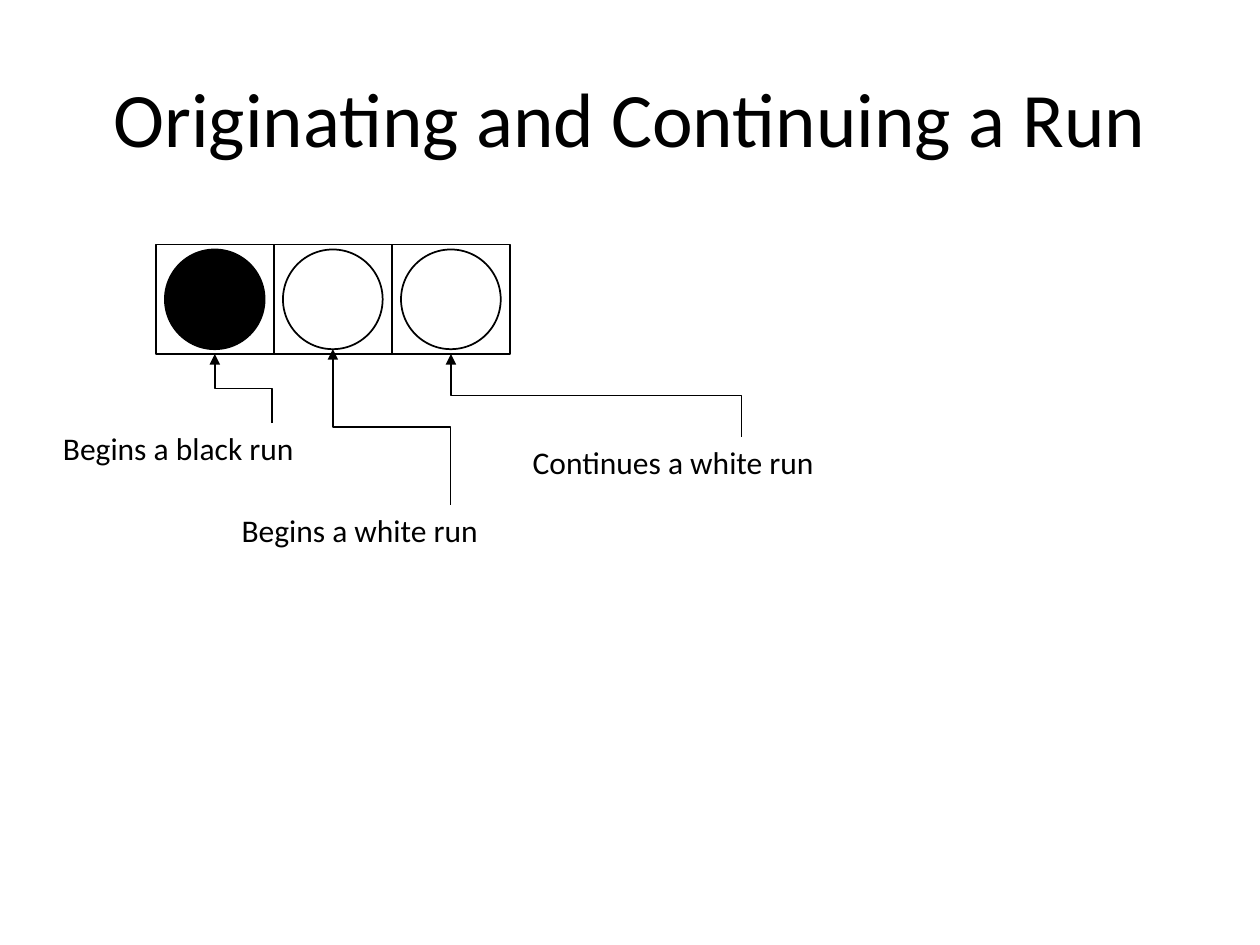
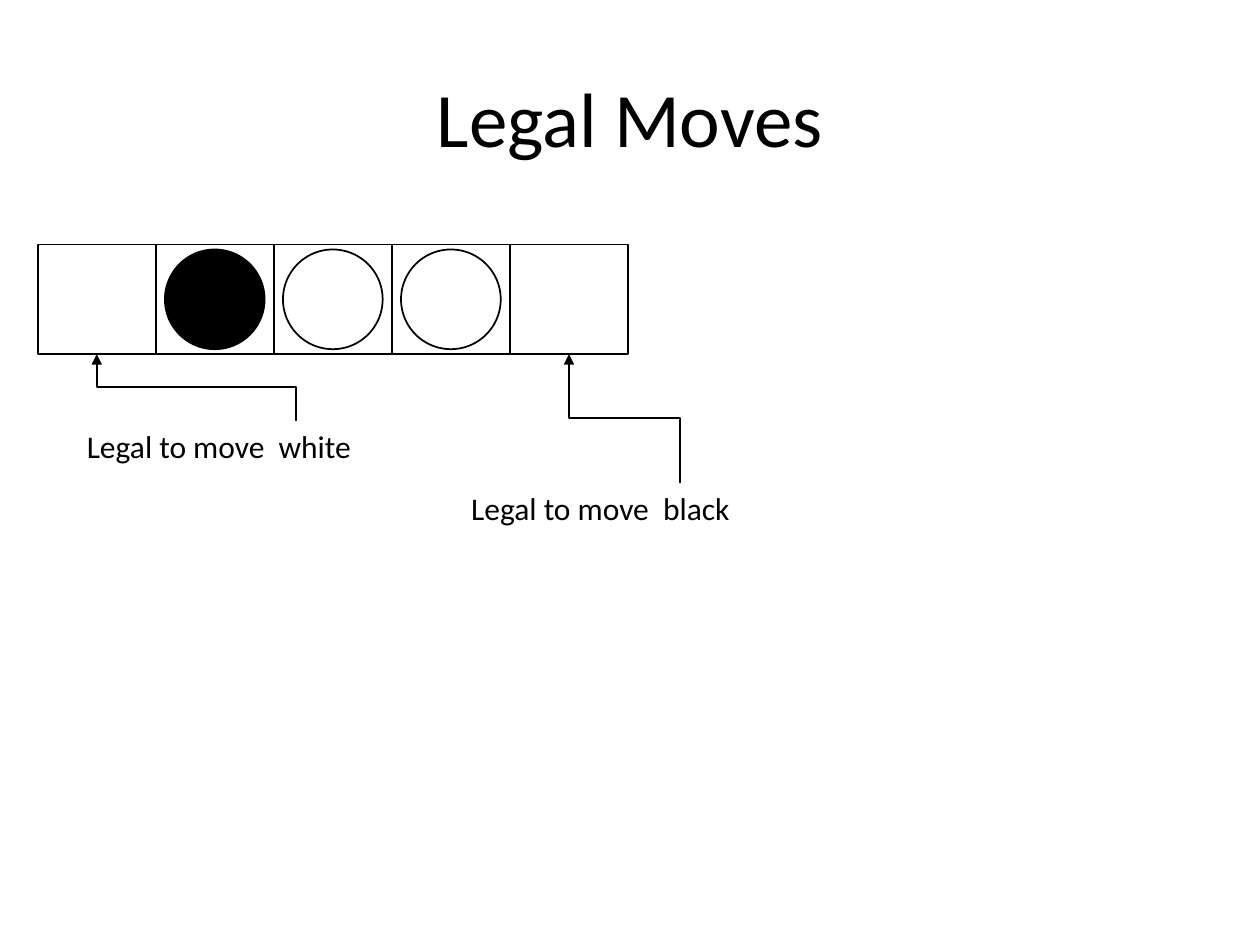
from lxml import etree
from pptx import Presentation
from pptx.dml.color import RGBColor
from pptx.enum.shapes import MSO_CONNECTOR, MSO_SHAPE
from pptx.enum.text import MSO_ANCHOR, MSO_AUTO_SIZE, PP_ALIGN
from pptx.oxml.ns import qn
from pptx.util import Cm, Pt

RECTANGLE, OVAL = MSO_SHAPE.RECTANGLE, MSO_SHAPE.OVAL
ELBOW = MSO_CONNECTOR.ELBOW
CENTER, MIDDLE = PP_ALIGN.CENTER, MSO_ANCHOR.MIDDLE
GROW = MSO_AUTO_SIZE.SHAPE_TO_FIT_TEXT

FONT = "Calibri"
BLACK, WHITE = "000000", "FFFFFF"

# Content: discs by board column; labels as (text, left, top, column, points at disc)
DISCS = {1: BLACK, 2: WHITE, 3: WHITE}
SLIDES = [
    {
        "title": "Originating and Continuing a Run",
        "columns": [1, 2, 3],
        "labels": [
            ("Begins a white run", 4.62, 10.18, 2, True),
            ("Begins a black run", 1.02, 8.53, 1, False),
            ("Continues a white run", 10.49, 8.81, 3, False),
        ],
    },
    {
        "title": "Legal Moves",
        "columns": [0, 1, 2, 3, 4],
        "labels": [
            ("Legal to move  black", 9.25, 9.73, 4, False),
            ("Legal to move  white", 1.5, 8.48, 0, False),
        ],
    },
]

# Board and label measures in centimetres
BOARD_LEFT, BOARD_TOP = 0.76, 4.93
SQUARE_WIDTH, SQUARE_HEIGHT = 2.38, 2.21
DISC_SIZE = 2.01
LABEL_WIDTH, LABEL_HEIGHT = 8.92, 1.02


def color(value):
    return RGBColor.from_string(value)


def format_text(frame, size):
    for para in frame.paragraphs:
        for span in para.runs:
            span.font.name = FONT
            span.font.size = Pt(size)
            span.font.color.rgb = color(BLACK)


def column_center(column):
    return BOARD_LEFT + (column + 0.5) * SQUARE_WIDTH


def add_title(page, text):
    title = page.shapes.title
    title.left, title.top = Cm(1.27), Cm(0.76)
    title.width, title.height = Cm(22.86), Cm(3.18)
    title.text_frame.text = text
    title.text_frame.vertical_anchor = MIDDLE
    title.text_frame.paragraphs[0].alignment = CENTER
    format_text(title.text_frame, 44)


def add_outlined(page, kind, column, width, height, fill=None):
    """Add a shape in the middle of a board square."""
    left = column_center(column) - width / 2
    top = BOARD_TOP + (SQUARE_HEIGHT - height) / 2
    shape = page.shapes.add_shape(kind, Cm(left), Cm(top), Cm(width), Cm(height))
    shape.shadow.inherit = False
    shape.line.color.rgb = color(BLACK)
    shape.line.width = Pt(1)
    if fill:
        shape.fill.solid()
        shape.fill.fore_color.rgb = color(fill)
    else:
        shape.fill.background()


def add_label(page, text, left, top):
    box = page.shapes.add_textbox(Cm(left), Cm(top), Cm(LABEL_WIDTH), Cm(LABEL_HEIGHT))
    frame = box.text_frame
    frame.word_wrap = True
    frame.auto_size = GROW
    frame.text = text
    format_text(frame, 18)


def add_arrow(page, start_x, start_y, end_x, end_y):
    """Add an elbow arrow that leaves and arrives vertically."""
    # The elbow runs sideways by default, so lay it flat and turn it by 270 degrees
    middle_x, middle_y = (start_x + end_x) / 2, (start_y + end_y) / 2
    half_rise, half_run = (start_y - end_y) / 2, (start_x - end_x) / 2
    arrow = page.shapes.add_connector(
        ELBOW,
        Cm(middle_x - half_rise), Cm(middle_y + half_run),
        Cm(middle_x + half_rise), Cm(middle_y - half_run),
    )
    arrow.line.color.rgb = color(BLACK)
    arrow.line.width = Pt(1)
    properties = arrow._element.spPr
    properties.find(qn("a:xfrm")).set("rot", str(270 * 60000))
    line = properties.find(qn("a:ln"))
    etree.SubElement(line, qn("a:tailEnd"), type="triangle")
    etree.SubElement(properties, qn("a:effectLst"))


def add_page(deck, content):
    page = deck.slides.add_slide(deck.slide_layouts[5])
    add_title(page, content["title"])

    # Board squares and discs
    for column in content["columns"]:
        add_outlined(page, RECTANGLE, column, SQUARE_WIDTH, SQUARE_HEIGHT)
        if column in DISCS:
            add_outlined(page, OVAL, column, DISC_SIZE, DISC_SIZE, DISCS[column])

    # Labels with arrows up to their squares
    for text, left, top, column, at_disc in content["labels"]:
        add_label(page, text, left, top)
        reach = (SQUARE_HEIGHT + DISC_SIZE) / 2 if at_disc else SQUARE_HEIGHT
        add_arrow(page, left + LABEL_WIDTH / 2, top,
                  column_center(column), BOARD_TOP + reach)


def main():
    deck = Presentation()
    deck.slide_width, deck.slide_height = Cm(25.4), Cm(19.05)
    for content in SLIDES:
        add_page(deck, content)
    deck.save("out.pptx")


if __name__ == "__main__":
    main()
